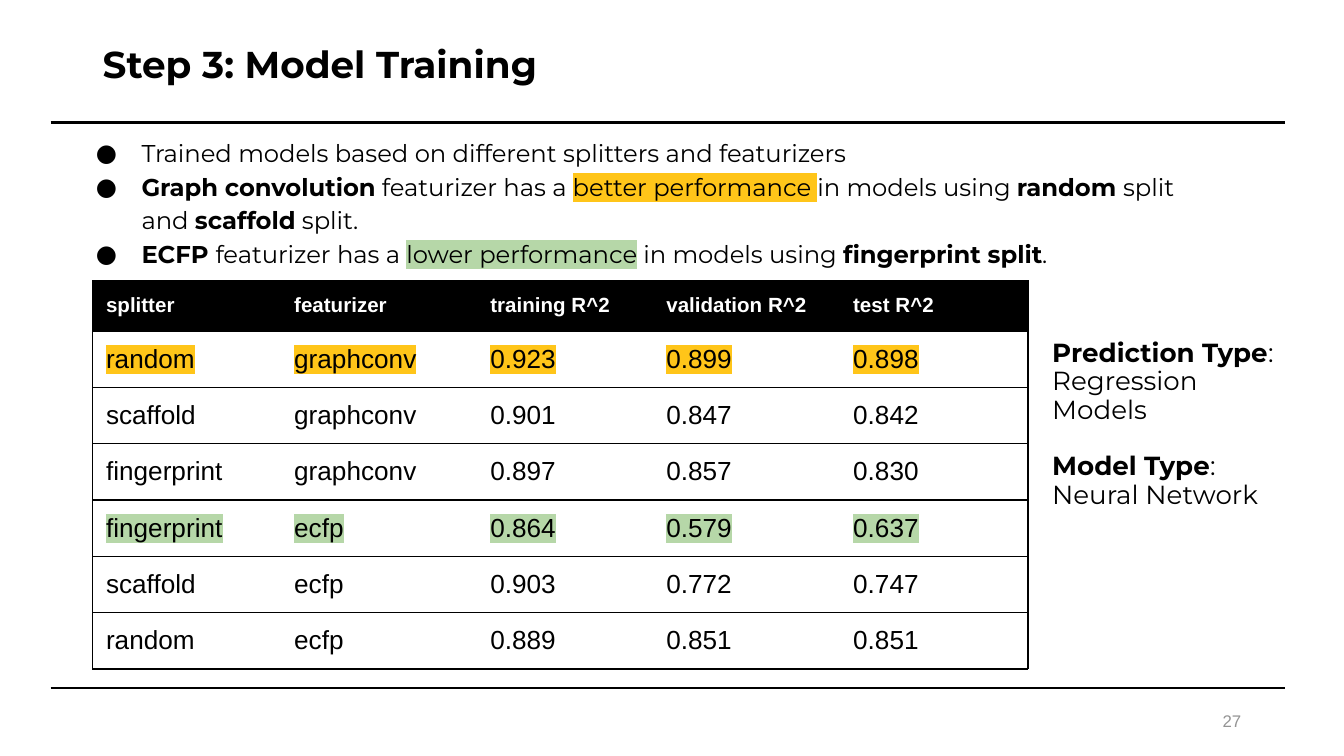
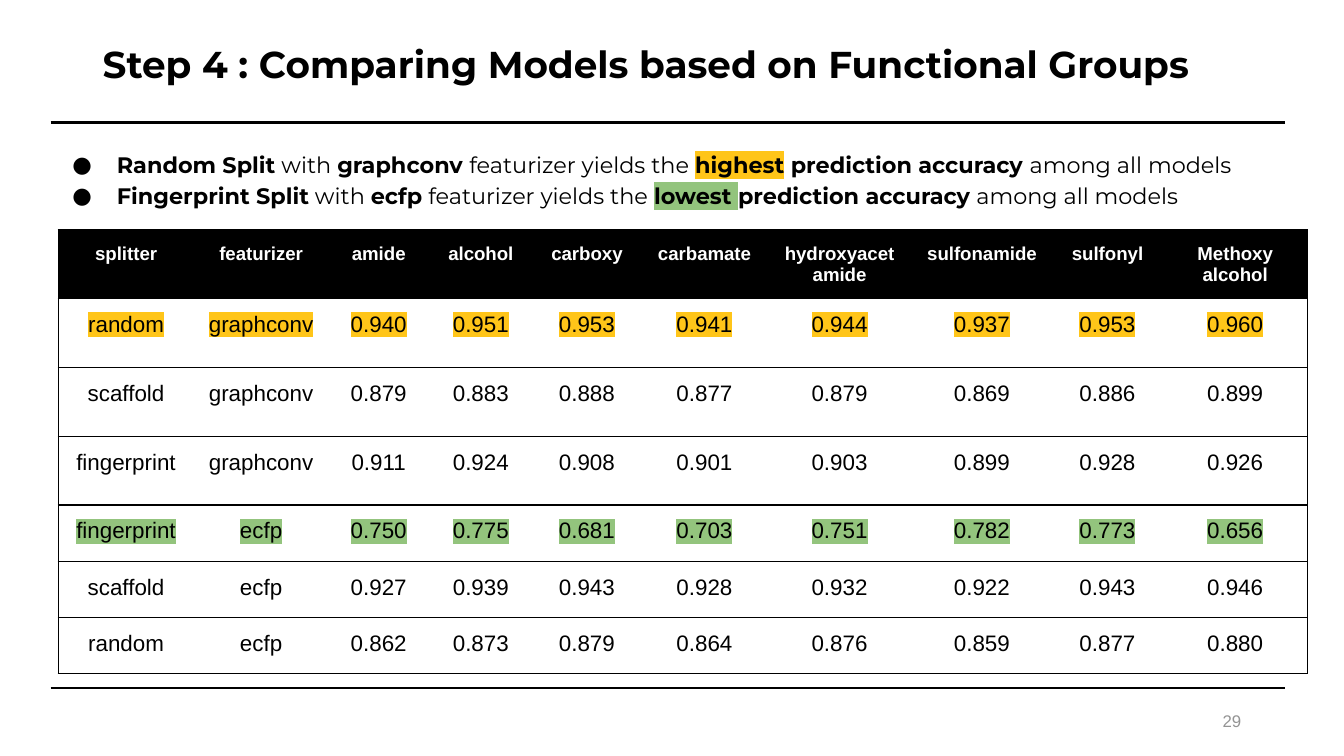
from dataclasses import dataclass

from lxml.etree import SubElement
from pptx import Presentation
from pptx.dml.color import RGBColor
from pptx.enum.shapes import MSO_CONNECTOR
from pptx.enum.text import MSO_ANCHOR, MSO_AUTO_SIZE, PP_ALIGN
from pptx.oxml import parse_xml
from pptx.oxml.ns import nsdecls, qn
from pptx.util import Pt


@dataclass(frozen=True)
class Theme:
    black: str = "000000"
    white: str = "FFFFFF"
    grey: str = "949494"
    gold: str = "FFC519"
    pale_green: str = "B6D7A8"
    green: str = "93C47D"
    heading_font: str = "Montserrat"
    data_font: str = "Arial"
    title_size: int = 20
    number_size: int = 9
    rule_width: float = 1.3
    border_width: float = 0.75
    tight: tuple = (5.4, 2.7)
    roomy: tuple = (7.2, 7.2)


THEME = Theme()
TITLE_BOX = (49.6, 9.6, 620.6, 52.4)
NUMBER_BOX = (508.4, 375.2, 162, 21.6)
RULE_SPAN = (27.2, 688.4)
RULE_HEIGHTS = (65.6, 368.6)


def bold(text, highlight=None):
    return text, True, highlight


def plain(text, highlight=None):
    return text, False, highlight


TRAINING = {
    "title": "Step 3: Model Training",
    "number": "27",
    "findings": [
        [plain("Trained models based on different splitters and featurizers")],
        [bold("Graph convolution"), plain(" featurizer has a "),
         plain("better performance ", THEME.gold), plain("in models using "),
         bold("random "), plain("split and "), bold("scaffold"), plain(" split.")],
        [bold("ECFP "), plain("featurizer has a "),
         plain("lower performance", THEME.pale_green), plain(" in models using "),
         bold("fingerprint split"), plain(".")],
    ],
    "findings_box": (34.4, 69.2, 620.6, 290),
    "findings_format": {"size": 13, "margins": THEME.tight, "indent": (36, -24.4)},
    "scores": [
        ("splitter", "featurizer", "training R^2", "validation R^2", "test R^2"),
        ("random", "graphconv", "0.923", "0.899", "0.898"),
        ("scaffold", "graphconv", "0.901", "0.847", "0.842"),
        ("fingerprint", "graphconv", "0.897", "0.857", "0.830"),
        ("fingerprint", "ecfp", "0.864", "0.579", "0.637"),
        ("scaffold", "ecfp", "0.903", "0.772", "0.747"),
        ("random", "ecfp", "0.889", "0.851", "0.851"),
    ],
    "marked_rows": {1: THEME.gold, 4: THEME.pale_green},
    "corner": (49.6, 150.4),
    "widths": (100.8, 105.1, 94.3, 100.1, 100.8),
    "heights": (27,) + (30.1,) * 6,
    "sizes": (11, 14),
    "align": PP_ALIGN.LEFT,
}

COMPARISON = {
    "title": "Step 4 : Comparing Models based on Functional Groups",
    "number": "29",
    "findings": [
        [bold("Random Split"), plain(" with "), bold("graphconv "),
         plain("featurizer yields the "), bold("highest", THEME.gold),
         bold(" prediction accuracy "), plain("among all models")],
        [bold("Fingerprint Split"), plain(" with "), bold("ecfp"),
         plain(" featurizer yields the "), bold("lowest ", THEME.green),
         bold("prediction accuracy"), plain(" among all models")],
    ],
    "findings_box": (5.8, 71.4, 694.8, 39.6),
    "findings_format": {"size": 12, "margins": THEME.roomy, "indent": (49.6, -23.8)},
    "scores": [
        ("splitter", "featurizer", "amide", "alcohol", "carboxy", "carbamate",
         "hydroxyacetamide", "sulfonamide", "sulfonyl", "Methoxy\nalcohol"),
        ("random", "graphconv", "0.940", "0.951", "0.953", "0.941", "0.944", "0.937", "0.953", "0.960"),
        ("scaffold", "graphconv", "0.879", "0.883", "0.888", "0.877", "0.879", "0.869", "0.886", "0.899"),
        ("fingerprint", "graphconv", "0.911", "0.924", "0.908", "0.901", "0.903", "0.899", "0.928", "0.926"),
        ("fingerprint", "ecfp", "0.750", "0.775", "0.681", "0.703", "0.751", "0.782", "0.773", "0.656"),
        ("scaffold", "ecfp", "0.927", "0.939", "0.943", "0.928", "0.932", "0.922", "0.943", "0.946"),
        ("random", "ecfp", "0.862", "0.873", "0.879", "0.864", "0.876", "0.859", "0.877", "0.880"),
    ],
    "marked_rows": {1: THEME.gold, 4: THEME.green},
    "corner": (31.2, 123.2),
    "widths": (72.7, 72, 54, 55.4, 58.3, 67.7, 77, 75.6, 59, 77.8),
    "heights": (36.4,) + (36.9,) * 3 + (30.1,) * 3,
    "sizes": (10, 12),
    "align": PP_ALIGN.CENTER,
}

MODEL_FACTS = [
    [bold("Prediction Type"), plain(":")],
    [plain("Regression Models")],
    [bold("Model Type"), plain(": Neural Network")],
]
MODEL_FACTS_BOX = (556.6, 175, 146.2, 155.6)
MODEL_FACTS_GAP = 15.2


def points(lengths):
    return [Pt(length) for length in lengths]


def write(frame, paragraphs, size, font=THEME.heading_font, color=THEME.black,
          align=PP_ALIGN.LEFT, spacing=1.0, anchor=MSO_ANCHOR.TOP,
          margins=THEME.roomy, indent=None):
    frame.word_wrap = True
    frame.vertical_anchor = anchor
    frame.margin_left = frame.margin_right = Pt(margins[0])
    frame.margin_top = frame.margin_bottom = Pt(margins[1])
    for index, runs in enumerate(paragraphs):
        paragraph = frame.add_paragraph() if index else frame.paragraphs[0]
        paragraph.alignment = align
        paragraph.line_spacing = spacing
        paragraph.space_before = paragraph.space_after = Pt(0)
        if indent:
            add_bullet(paragraph, *indent)
        for text, is_bold, highlight in runs:
            run = paragraph.add_run()
            run.text = text
            run.font.size = Pt(size)
            run.font.bold = is_bold
            run.font.color.rgb = RGBColor.from_string(color)
            run.font.name = font
            if highlight:
                run.font._element.find(qn("a:solidFill")).addnext(parse_xml(
                    f'<a:highlight {nsdecls("a")}><a:srgbClr val="{highlight}"/></a:highlight>'))


def add_bullet(paragraph, left, hanging):
    properties = paragraph._p.get_or_add_pPr()
    properties.set("marL", str(Pt(left)))
    properties.set("indent", str(Pt(hanging)))
    color = SubElement(properties, qn("a:buClr"))
    SubElement(color, qn("a:srgbClr"), val=THEME.black)
    SubElement(properties, qn("a:buFont"), typeface=THEME.heading_font)
    SubElement(properties, qn("a:buChar"), char="●")


def fill_placeholder(placeholder, box, paragraphs, **text_format):
    placeholder.left, placeholder.top, placeholder.width, placeholder.height = points(box)
    placeholder.text_frame.auto_size = MSO_AUTO_SIZE.NONE
    write(placeholder.text_frame, paragraphs, **text_format)


def add_text(slide, box, paragraphs, **text_format):
    frame = slide.shapes.add_textbox(*points(box)).text_frame
    write(frame, paragraphs, **text_format)
    return frame


def add_rule(slide, height):
    start, end = RULE_SPAN
    rule = slide.shapes.add_connector(
        MSO_CONNECTOR.STRAIGHT, *points((start, height, end, height)))
    rule.line.color.rgb = RGBColor.from_string(THEME.black)
    rule.line.width = Pt(THEME.rule_width)
    SubElement(rule._element.spPr, qn("a:effectLst"))


def set_borders(cell, visible):
    properties = cell._tc.get_or_add_tcPr()
    for side in "LRTB":
        border = SubElement(properties, qn(f"a:ln{side}"), w=str(Pt(THEME.border_width)))
        if side in visible:
            SubElement(SubElement(border, qn("a:solidFill")), qn("a:srgbClr"), val=THEME.black)
        else:
            SubElement(border, qn("a:noFill"))


def add_scores(slide, content):
    scores, widths, heights = content["scores"], content["widths"], content["heights"]
    box = (*content["corner"], sum(widths), sum(heights))
    table = slide.shapes.add_table(len(scores), len(widths), *points(box)).table
    table.horz_banding = False
    for column, width in zip(table.columns, widths):
        column.width = Pt(width)
    for row, height in zip(table.rows, heights):
        row.height = Pt(height)
    last = len(widths) - 1
    for row_index, values in enumerate(scores):
        is_header = row_index == 0
        highlight = content["marked_rows"].get(row_index)
        for column_index, value in enumerate(values):
            cell = table.cell(row_index, column_index)
            set_borders(cell, "TB" + "L" * (column_index == 0) + "R" * (column_index == last))
            cell.fill.solid()
            cell.fill.fore_color.rgb = RGBColor.from_string(
                THEME.black if is_header else THEME.white)
            cell.margin_left = cell.margin_right = Pt(THEME.roomy[0])
            cell.margin_top = cell.margin_bottom = Pt(THEME.roomy[1])
            write(cell.text_frame,
                  [[(line, is_header, highlight)] for line in value.split("\n")],
                  size=content["sizes"][0 if is_header else 1], font=THEME.data_font,
                  color=THEME.white if is_header else THEME.black, align=content["align"])
            cell.vertical_anchor = MSO_ANCHOR.TOP


def add_results_slide(deck, content):
    slide = deck.slides.add_slide(deck.slide_layouts[1])
    for height in RULE_HEIGHTS:
        add_rule(slide, height)
    fill_placeholder(slide.shapes.title, TITLE_BOX, [[bold(content["title"])]],
                     size=THEME.title_size, spacing=0.9, anchor=MSO_ANCHOR.MIDDLE,
                     margins=THEME.tight)
    fill_placeholder(slide.placeholders[1], content["findings_box"], content["findings"],
                     spacing=1.15, **content["findings_format"])
    add_scores(slide, content)
    add_text(slide, NUMBER_BOX, [[plain(content["number"])]], size=THEME.number_size,
             font=THEME.data_font, color=THEME.grey, align=PP_ALIGN.RIGHT,
             anchor=MSO_ANCHOR.MIDDLE, margins=THEME.tight)
    return slide


def main():
    deck = Presentation()
    deck.slide_width, deck.slide_height = Pt(720), Pt(405)
    training = add_results_slide(deck, TRAINING)
    facts = add_text(training, MODEL_FACTS_BOX, MODEL_FACTS, size=14, spacing=0.9)
    facts.paragraphs[2].space_before = Pt(MODEL_FACTS_GAP)
    add_results_slide(deck, COMPARISON)
    deck.save("out.pptx")


if __name__ == "__main__":
    main()
